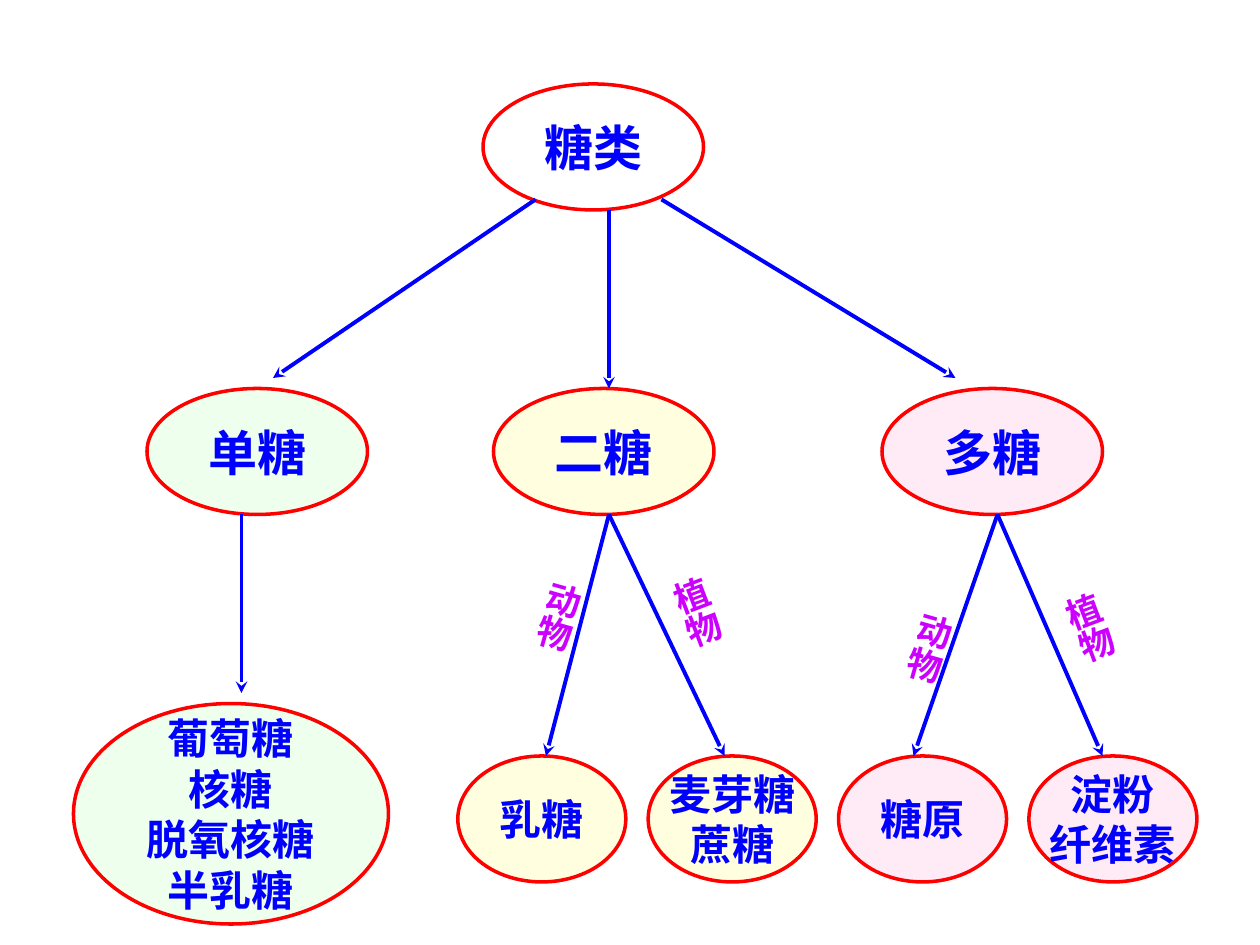
from lxml.etree import SubElement
from pptx import Presentation
from pptx.dml.color import RGBColor
from pptx.enum.shapes import MSO_CONNECTOR, MSO_SHAPE
from pptx.enum.text import MSO_ANCHOR, MSO_AUTO_SIZE, PP_ALIGN
from pptx.oxml.ns import qn
from pptx.util import Inches, Pt

BLUE = RGBColor(0x00, 0x00, 0xFF)
RED = RGBColor(0xFF, 0x00, 0x00)
PURPLE = RGBColor(0xCC, 0x00, 0xFF)
GREEN = RGBColor(0xCC, 0xFF, 0xCC)
YELLOW = RGBColor(0xFF, 0xFF, 0x99)
PINK = RGBColor(0xFF, 0x99, 0xCC)
OPACITY = {GREEN: 33, YELLOW: 31, PINK: 19}

UNIT = Inches(1) / 12  # grid of 120 columns and 90 rows
CLASS_SIZE = (21, 12)
SUGAR_SIZE = (16, 12)
CLASS_ROW, SUGAR_ROW = 37, 72
SUGAR_LEFT, SUGAR_STEP = 43.6, 18.13


def grid(*cells):
    return [round(c * UNIT) for c in cells]


def write(tf, lines, size, color, align=None):
    tf.text = "\n".join(lines)
    for p in tf.paragraphs:
        p.alignment = align
        for r in p.runs:
            r.font.name = "Arial"
            r.font.size = Pt(size)
            r.font.bold = True
            r.font.color.rgb = color


def add_oval(s, col, row, size, lines, pt, fill=None):
    sp = s.shapes.add_shape(MSO_SHAPE.OVAL, *grid(col, row, *size))
    sp.shadow.inherit = False
    sp.line.color.rgb = RED
    sp.line.width = Pt(2)
    if fill is None:
        sp.fill.background()
    else:
        sp.fill.solid()
        sp.fill.fore_color.rgb = fill
        color = sp._element.spPr.find(qn("a:solidFill"))[0]
        SubElement(color, qn("a:alpha"), val=str(OPACITY[fill] * 1000))
    tf = sp.text_frame
    tf.word_wrap = False
    tf.vertical_anchor = MSO_ANCHOR.MIDDLE
    write(tf, lines, pt, BLUE, PP_ALIGN.CENTER)


def add_arrow(s, start, end):
    line = s.shapes.add_connector(MSO_CONNECTOR.STRAIGHT, *grid(*start, *end))
    line.line.color.rgb = BLUE
    line.line.width = Pt(2.25)
    SubElement(line.line._get_or_add_ln(), qn("a:tailEnd"), type="stealth")
    SubElement(line._element.spPr, qn("a:effectLst"))


def add_branch_label(s, col, row, height, text, angle):
    """Add a vertical label leaning along a branch."""
    sp = s.shapes.add_textbox(*grid(col, row, 6.36, height))
    sp.rotation = angle
    tf = sp.text_frame
    tf.word_wrap = True
    tf.auto_size = MSO_AUTO_SIZE.SHAPE_TO_FIT_TEXT
    tf.margin_left = tf.margin_right = Inches(0.05)
    tf.margin_top = tf.margin_bottom = Inches(0.1)
    tf._txBody.bodyPr.set("vert", "eaVert")
    write(tf, [text], 20, PURPLE)


def main():
    prs = Presentation()
    prs.slide_width, prs.slide_height = Inches(10), Inches(7.5)
    s = prs.slides.add_slide(prs.slide_layouts[6])

    add_oval(s, 46, 8, CLASS_SIZE, ["糖类"], 28)
    for col, name, fill in [(14, "单糖", GREEN), (47, "二糖", YELLOW), (84, "多糖", PINK)]:
        add_oval(s, col, CLASS_ROW, CLASS_SIZE, [name], 28, fill)

    add_oval(s, 7, 67, (30, 21), ["葡萄糖", "核糖", "脱氧核糖", "半乳糖"], 24, GREEN)
    sugars = [(["乳糖"], YELLOW), (["麦芽糖", "蔗糖"], YELLOW),
              (["糖原"], PINK), (["淀粉", "纤维素"], PINK)]
    for i, (lines, fill) in enumerate(sugars):
        add_oval(s, SUGAR_LEFT + i * SUGAR_STEP, SUGAR_ROW, SUGAR_SIZE, lines, 24, fill)

    for start, end in [((51, 19), (26, 36)), ((58, 20), (58, CLASS_ROW)),
                       ((63, 19), (91, 36)), ((23, 49), (23, 66))]:
        add_arrow(s, start, end)
    for col, ends in [(58, (52, 69)), (95, (87, 105))]:
        for end in ends:
            add_arrow(s, (col, 49), (end, SUGAR_ROW))

    for col, row, height, text, angle in [
            (49.1, 54, 11.6, "动物", 15.8), (63, 54, 11, "植物", -20.8),
            (84.6, 57, 10, "动物", 15.7), (100.1, 55.5, 9.4, "植物", -20.7)]:
        add_branch_label(s, col, row, height, text, angle)

    prs.save("out.pptx")


if __name__ == "__main__":
    main()
